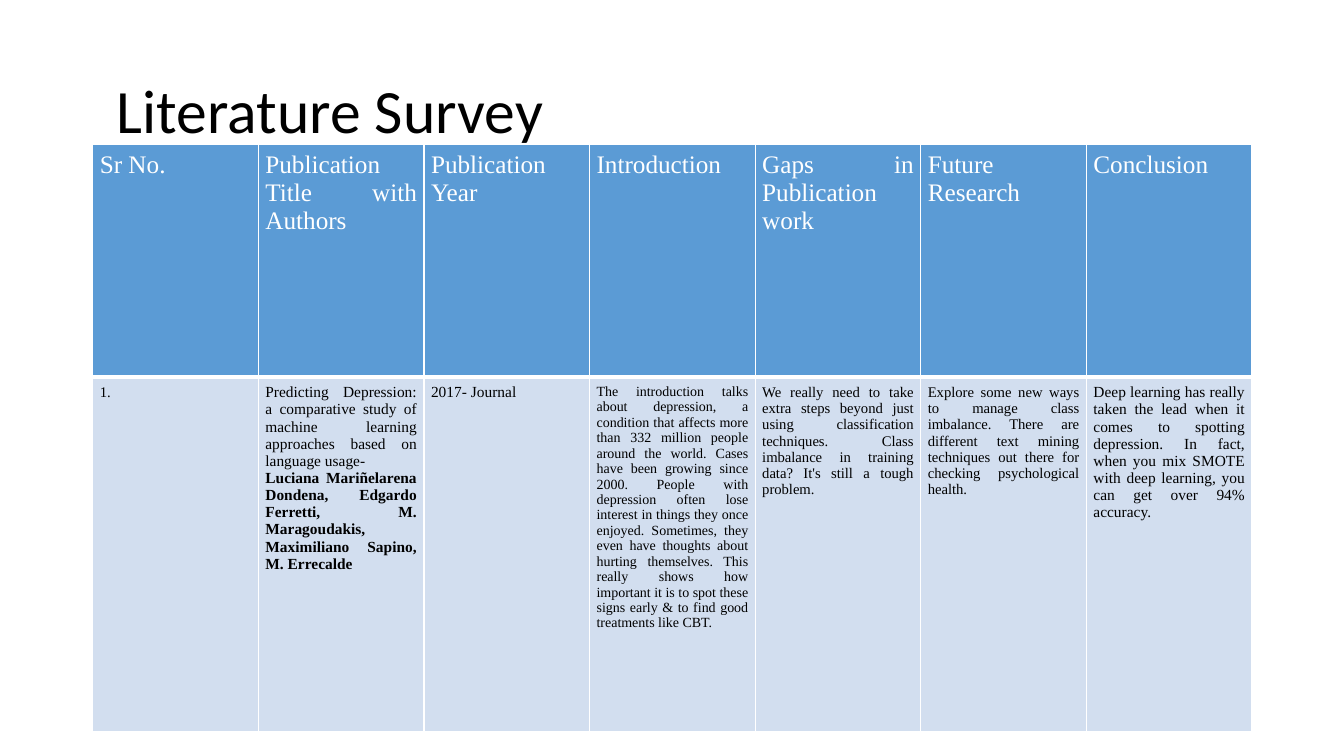
from pptx import Presentation
from pptx.dml.color import RGBColor
from pptx.enum.text import MSO_ANCHOR, PP_ALIGN
from pptx.oxml import parse_xml
from pptx.oxml.ns import nsdecls
from pptx.util import Inches, Pt

COLORS = {"text": "000000", "white": "FFFFFF", "header": "5B9BD5", "body": "D2DEEF"}

HEADERS = ["Sr No.", "Publication Title with Authors ", "Publication Year",
           "Introduction", "Gaps in Publication work", "Future Research", "Conclusion"]

# Each entry: paragraphs, font size, space before and after
ENTRIES = [
    (["1."], 10.5, 0),
    (["Predicting Depression: a comparative study of machine learning approaches "
      "based on language usage-",
      "Luciana Mariñelarena Dondena, Edgardo Ferretti, M. Maragoudakis, "
      "Maximiliano Sapino, M. Errecalde"], 11, 0),
    (["2017- Journal"], 11, 0),
    (["The introduction talks about depression, a condition that affects more than "
      "332 million people around the world. Cases have been growing since 2000. "
      "People with depression often lose interest in things they once enjoyed. "
      "Sometimes, they even have thoughts about hurting themselves. This really shows "
      "how important it is to spot these signs early & to find good treatments like "
      "CBT."], 10, 12),
    (["We really need to take extra steps beyond just using classification techniques. "
      "Class imbalance in training data? It's still a tough problem."], 10.5, 12),
    (["Explore some new ways to manage class imbalance. There are different text mining "
      "techniques out there for checking psychological health."], 10.5, 12),
    (["Deep learning has really taken the lead when it comes to spotting depression. "
      "In fact, when you mix SMOTE with deep learning, you can get over 94% accuracy."],
     11, 0),
]


class SlideBuilder:
    title_font = "Calibri"
    table_font = "Times New Roman"
    cell_margin = Inches(0.07)

    def __init__(self, prs):
        self.slide = prs.slides.add_slide(prs.slide_layouts[5])

    def format_runs(self, p, font, size, color, bold=False):
        for r in p.runs:
            r.font.name = font
            r.font.size = Pt(size)
            r.font.bold = bold
            r.font.color.rgb = RGBColor.from_string(COLORS[color])

    def title(self, text, left, top, width, height):
        sp = self.slide.shapes.title
        sp.left, sp.top = Inches(left), Inches(top)
        sp.width, sp.height = Inches(width), Inches(height)
        tf = sp.text_frame
        tf.text = text
        tf.word_wrap = True
        tf.vertical_anchor = MSO_ANCHOR.MIDDLE
        p = tf.paragraphs[0]
        p.alignment = PP_ALIGN.LEFT
        p.line_spacing = 0.9
        self.format_runs(p, self.title_font, 44, "text")

    def table(self, left, top, width, row_heights, col_count):
        frame = self.slide.shapes.add_table(
            len(row_heights), col_count, Inches(left), Inches(top),
            Inches(width), Inches(sum(row_heights)))
        table = frame.table
        table.horz_banding = False
        for row, height in zip(table.rows, row_heights):
            row.height = Inches(height)
        return table

    def borders(self, cell, widths):
        tcPr = cell._tc.get_or_add_tcPr()
        for side, width in widths.items():
            tcPr.append(parse_xml(
                f'<a:ln{side} {nsdecls("a")} w="{Pt(width)}"><a:solidFill>'
                f'<a:srgbClr val="{COLORS["white"]}"/></a:solidFill></a:ln{side}>'))

    def cell(self, cell, paragraphs, size, color, fill, widths, space=0):
        self.borders(cell, widths)
        cell.fill.solid()
        cell.fill.fore_color.rgb = RGBColor.from_string(COLORS[fill])
        cell.margin_left = cell.margin_right = self.cell_margin
        cell.margin_top = cell.margin_bottom = self.cell_margin
        tf = cell.text_frame
        tf.text = "\n".join(paragraphs)
        for i, p in enumerate(tf.paragraphs):
            p.alignment = PP_ALIGN.JUSTIFY
            p.space_before = p.space_after = Pt(space)
            # Author names follow the publication title in bold
            self.format_runs(p, self.table_font, size, color, bold=i > 0)


def main():
    prs = Presentation()
    prs.slide_width, prs.slide_height = Inches(13.33), Inches(7.5)
    s = SlideBuilder(prs)

    # Title
    s.title(" Literature Survey", 0.92, 0.4, 11.5, 1.45)

    # Survey table
    table = s.table(0.92, 1.43, 11.5, [2.31, 3.52], len(HEADERS))
    for col, (header, (paragraphs, size, space)) in enumerate(zip(HEADERS, ENTRIES)):
        s.cell(table.cell(0, col), [header], 18, "white", "header",
               {"L": 1, "R": 1, "T": 1, "B": 3})
        s.cell(table.cell(1, col), paragraphs, size, "text", "body",
               {"L": 1, "R": 1, "T": 3, "B": 1}, space)

    prs.save("out.pptx")


if __name__ == "__main__":
    main()
